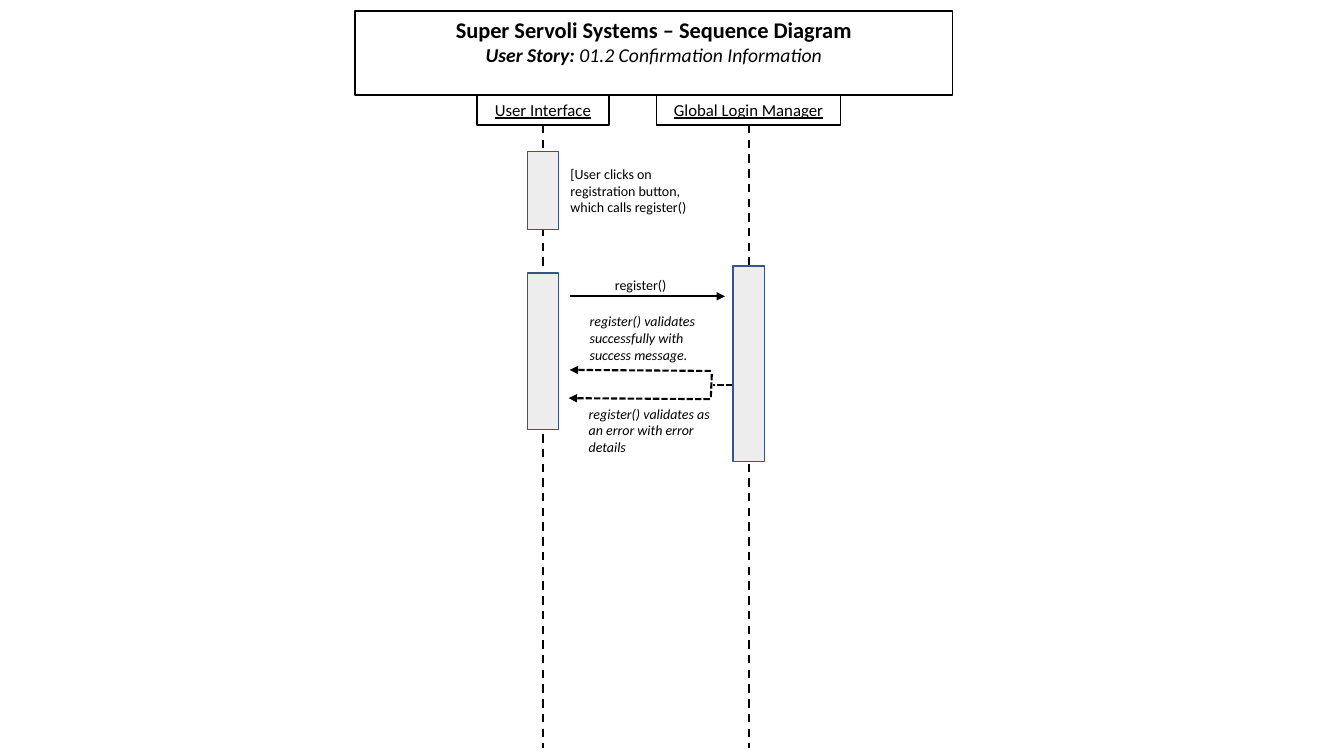
from dataclasses import dataclass

from lxml.etree import SubElement
from pptx import Presentation
from pptx.dml.color import RGBColor
from pptx.enum.dml import MSO_LINE
from pptx.enum.shapes import MSO_CONNECTOR, MSO_SHAPE
from pptx.enum.text import MSO_ANCHOR, MSO_AUTO_SIZE, PP_ALIGN
from pptx.oxml.ns import qn
from pptx.shapes.autoshape import Shape
from pptx.shapes.connector import Connector
from pptx.slide import Slide
from pptx.text.text import TextFrame, _Paragraph
from pptx.util import Inches, Pt

FONT = "Calibri"
BLACK = "000000"
BAR_FILL = "EDEDED"
BAR_LINE = "325491"
LIFELINE_END = 7.42
BAR_WIDTH = 0.31


@dataclass(frozen=True)
class Activation:
    top: float
    height: float


@dataclass(frozen=True)
class Participant:
    name: str
    left: float
    width: float
    activations: tuple[Activation, ...]

    @property
    def center(self) -> float:
        return self.left + self.width / 2


@dataclass(frozen=True)
class Message:
    start: tuple[float, float]
    end: tuple[float, float]
    dash: MSO_LINE | None = MSO_LINE.SQUARE_DOT
    arrow: bool = True


@dataclass(frozen=True)
class Note:
    text: str
    left: float
    top: float
    width: float
    height: float = 0.61
    italic: bool = False


PARTICIPANTS = (
    Participant("User Interface", 4.73, 1.31,
                (Activation(1.5, 0.78), Activation(2.71, 1.55))),
    Participant("Global Login Manager", 6.51, 1.83, (Activation(2.64, 1.94),)),
)
MESSAGES = (
    Message((5.65, 2.94), (7.19, 2.94), dash=None),
    Message((7.05, 3.68), (5.65, 3.67)),
    Message((7.04, 3.96), (5.64, 3.95)),
    Message((7.06, 3.71), (7.05, 3.94), arrow=False),
    Message((7.26, 3.82), (7.07, 3.82), arrow=False),
)
NOTES = (
    Note("[User clicks on registration button, which calls register()", 5.56, 1.59, 1.62),
    Note("register()", 6, 2.69, 0.99, 0.28),
    Note("register() validates successfully with success message.",
         5.75, 3.05, 1.54, italic=True),
    Note("register() validates as an error with error details",
         5.74, 3.97, 1.49, italic=True),
)


def color(value: str) -> RGBColor:
    return RGBColor.from_string(value)


def add_run(paragraph: _Paragraph, text: str, size: float, bold: bool = False,
            italic: bool = False, underline: bool = False) -> None:
    run = paragraph.add_run()
    run.text = text
    font = run.font
    font.name, font.size = FONT, Pt(size)
    font.bold, font.italic, font.underline = bold, italic, underline
    font.color.rgb = color(BLACK)


def set_frame(frame: TextFrame, anchor: MSO_ANCHOR) -> None:
    frame.word_wrap = True
    frame.auto_size = MSO_AUTO_SIZE.SHAPE_TO_FIT_TEXT
    frame.vertical_anchor = anchor


def add_box(slide: Slide, left: float, top: float, width: float, height: float,
            outline: str, fill: str | None = None) -> Shape:
    box = slide.shapes.add_shape(MSO_SHAPE.RECTANGLE, Inches(left), Inches(top),
                                 Inches(width), Inches(height))
    box.shadow.inherit = False
    if fill:
        box.fill.solid()
        box.fill.fore_color.rgb = color(fill)
    else:
        box.fill.background()
    box.line.color.rgb = color(outline)
    box.line.width = Pt(1)
    return box


def add_line(slide: Slide, start: tuple[float, float], end: tuple[float, float],
             dash: MSO_LINE | None, arrow: bool = False) -> Connector:
    line = slide.shapes.add_connector(MSO_CONNECTOR.STRAIGHT, *map(Inches, start + end))
    line.line.color.rgb = color(BLACK)
    line.line.width = Pt(1.5)
    if dash is not None:
        line.line.dash_style = dash
    if arrow:
        SubElement(line.line._get_or_add_ln(), qn("a:tailEnd"), type="triangle")
    SubElement(line._element.spPr, qn("a:effectLst"))
    return line


def add_title(slide: Slide) -> None:
    title = slide.shapes.title
    title.left, title.top = Inches(3.52), Inches(0.11)
    title.width, title.height = Inches(5.93), Inches(0.61)
    title.line.color.rgb = color(BLACK)
    title.line.width = Pt(1)
    set_frame(title.text_frame, MSO_ANCHOR.TOP)
    heading = title.text_frame.paragraphs[0]
    heading.alignment = PP_ALIGN.CENTER
    heading.line_spacing = 1.0
    add_run(heading, "Super Servoli Systems – Sequence Diagram", 16, bold=True)
    heading.add_line_break()
    add_run(heading, "User Story: ", 14, bold=True, italic=True)
    add_run(heading, "01.2 Confirmation Information", 14, italic=True)


def add_participant(slide: Slide, participant: Participant) -> None:
    """Draw the header, its lifeline and the activation bars on it."""
    header = add_box(slide, participant.left, 0.94, participant.width, 0.3, BLACK)
    set_frame(header.text_frame, MSO_ANCHOR.TOP)
    label = header.text_frame.paragraphs[0]
    label.alignment = PP_ALIGN.CENTER
    add_run(label, participant.name, 12, underline=True)
    center = participant.center
    lifeline = add_line(slide, (center, 1.24), (center, LIFELINE_END), MSO_LINE.DASH)
    lifeline.begin_connect(header, 2)
    for bar in participant.activations:
        add_box(slide, center - BAR_WIDTH / 2, bar.top, BAR_WIDTH, bar.height,
                BAR_LINE, BAR_FILL)


def add_note(slide: Slide, note: Note) -> None:
    caption = slide.shapes.add_textbox(Inches(note.left), Inches(note.top),
                                       Inches(note.width), Inches(note.height))
    set_frame(caption.text_frame, MSO_ANCHOR.TOP)
    add_run(caption.text_frame.paragraphs[0], note.text, 10, italic=note.italic)


def main() -> None:
    deck = Presentation()
    deck.slide_width, deck.slide_height = Inches(13.33), Inches(7.5)
    slide = deck.slides.add_slide(deck.slide_layouts.get_by_name("Title Only"))
    add_title(slide)
    for participant in PARTICIPANTS:
        add_participant(slide, participant)
    for message in MESSAGES:
        add_line(slide, message.start, message.end, message.dash, message.arrow)
    for note in NOTES:
        add_note(slide, note)
    deck.save("out.pptx")


if __name__ == "__main__":
    main()
